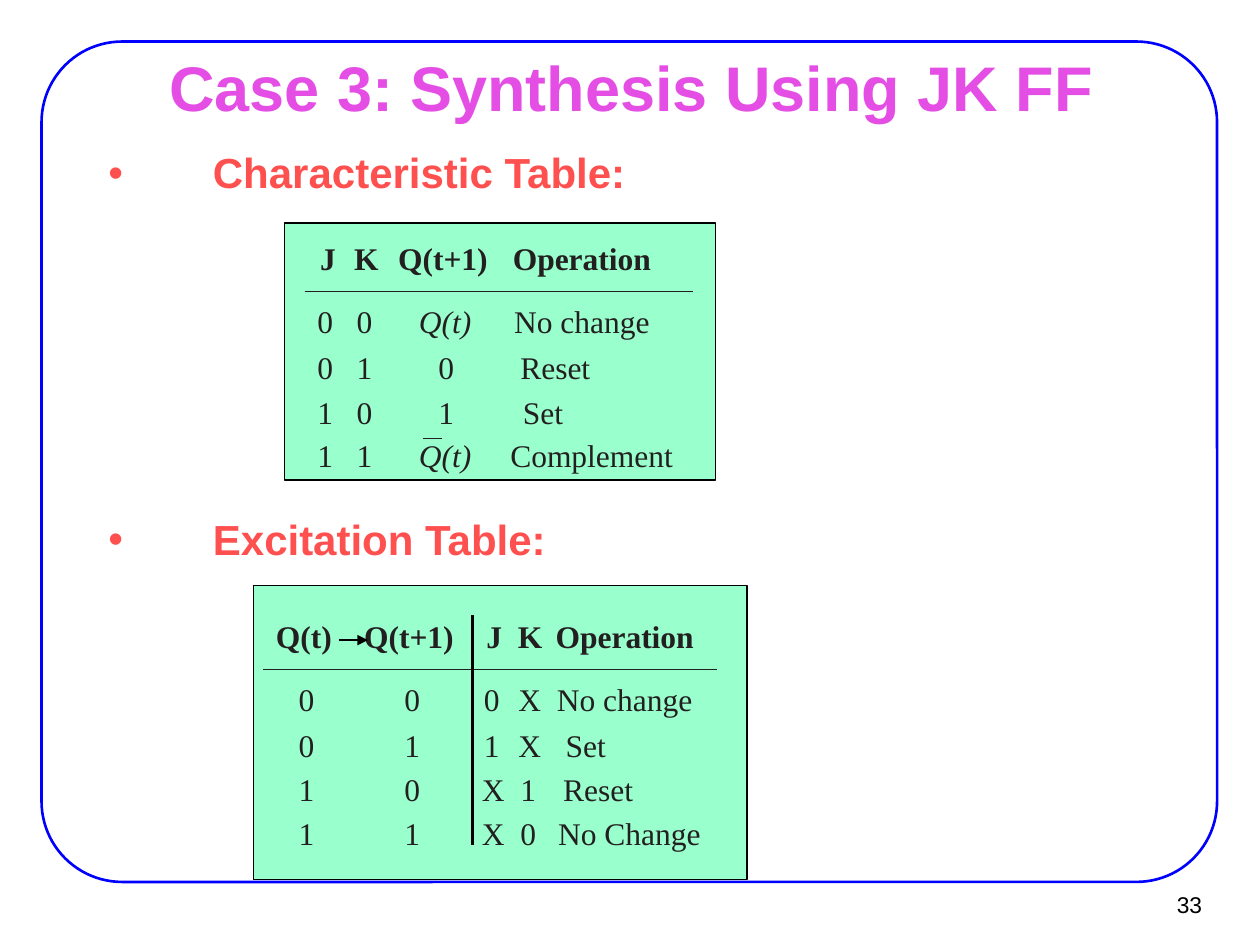
from dataclasses import dataclass

import pptx
import pptx.dml.color
import pptx.enum.shapes
import pptx.enum.text
import pptx.oxml.ns
import pptx.oxml.xmlchemy
import pptx.util
from lxml import etree
from pptx.util import Inches

COLORS = {
    "frame": "0000FF",
    "title": "E44EE4",
    "heading": "FF5050",
    "panel": "99FFCC",
    "ink": "231F20",
    "black": "000000",
}
SANS, SERIF = "Arial", "Times New Roman"
CELL_HEIGHT = 0.3
# Cell widths, and the indents of the operation names within their column
WIDTHS = {"0": 0.14, "1": 0.14, "X": 0.17, "Q(t)": 0.45, "No change": 1.25,
          "No Change": 1.28, "Set": 0.36, "Reset": 0.63, "Complement": 1.52}
INDENTS = {"Operation": 0, "No change": 0.01, "No Change": 0.02, "Set": 0.08,
           "Reset": 0.06, "Complement": -0.02}


@dataclass
class Column:
    header: str
    header_width: float
    position: float  # centre of the column, or left edge for operations
    values: list[str]


@dataclass
class TruthTable:
    panel: tuple[float, float, float, float]
    rule: tuple[float, float, float]  # left, right, height on the slide
    row_tops: list[float]
    columns: list[Column]


TABLES = [
    TruthTable((2.26, 1.77, 3.42, 2.04), (2.42, 5.5, 2.31),
               [1.9, 2.4, 2.76, 3.12, 3.46], [
        Column("J", 0.1, 2.59, ["0", "0", "1", "1"]),
        Column("K", 0.18, 2.9, ["0", "1", "0", "1"]),
        Column("Q(t+1)", 0.78, 3.55, ["Q(t)", "0", "1", "Q(t)"]),
        Column("Operation", 1.29, 4.07, ["No change", "Reset", "Set", "Complement"]),
    ]),
    TruthTable((2.01, 4.65, 3.92, 2.33), (2.09, 5.69, 5.31),
               [4.9, 5.4, 5.76, 6.11, 6.46], [
        Column("Q(t)", 0.5, 2.44, ["0", "0", "1", "1"]),
        Column("Q(t+1)", 0.78, 3.28, ["0", "1", "0", "1"]),
        Column("J", 0.1, 3.91, ["0", "1", "X", "X"]),
        Column("K", 0.18, 4.2, ["X", "X", "1", "0"]),
        Column("Operation", 1.29, 4.41, ["No change", "Set", "Reset", "No Change"]),
    ]),
]


def color(name: str) -> pptx.dml.color.RGBColor:
    return pptx.dml.color.RGBColor.from_string(COLORS[name])


def add_run(paragraph, text: str, font: str, size: float, ink: str,
            bold: bool = False, italic: bool = False) -> None:
    run = paragraph.add_run()
    run.text = text
    run.font.name = font
    run.font.size = pptx.util.Pt(size)
    run.font.color.rgb = color(ink)
    run.font.bold = bold
    run.font.italic = italic


def add_box(slide, kind, bounds, fill: str | None = None,
            line: str | None = None, line_width: float = 0.75):
    shape = slide.shapes.add_shape(kind, *(Inches(value) for value in bounds))
    shape.shadow.inherit = False
    if fill:
        shape.fill.solid()
        shape.fill.fore_color.rgb = color(fill)
    else:
        shape.fill.background()
    if line:
        shape.line.color.rgb = color(line)
        shape.line.width = pptx.util.Pt(line_width)
    else:
        shape.line.fill.background()
    return shape


def set_margins(text_frame, horizontal: float, vertical: float) -> None:
    text_frame.margin_left = text_frame.margin_right = Inches(horizontal)
    text_frame.margin_top = text_frame.margin_bottom = Inches(vertical)


def add_text_box(slide, bounds, horizontal: float = 0.11, vertical: float = 0.06,
                 anchor=pptx.enum.text.MSO_ANCHOR.MIDDLE, wrap: bool = True):
    shape = slide.shapes.add_textbox(*(Inches(value) for value in bounds))
    shape.text_frame.word_wrap = wrap
    shape.text_frame.vertical_anchor = anchor
    set_margins(shape.text_frame, horizontal, vertical)
    return shape.text_frame.paragraphs[0]


def add_line(slide, start, end, ink: str, width: float, arrow: bool = False) -> None:
    connector = slide.shapes.add_connector(
        pptx.enum.shapes.MSO_CONNECTOR.STRAIGHT,
        *(Inches(value) for value in (*start, *end)))
    connector.line.color.rgb = color(ink)
    connector.line.width = pptx.util.Pt(width)
    if arrow:
        etree.SubElement(connector.line._get_or_add_ln(),
                         pptx.oxml.ns.qn("a:tailEnd"), type="triangle")
    etree.SubElement(connector._element.spPr, pptx.oxml.ns.qn("a:effectLst"))


def add_cell(slide, text: str, left: float, top: float, width: float,
             bold: bool) -> None:
    shape = add_box(slide, pptx.enum.shapes.MSO_SHAPE.RECTANGLE,
                    (left, top, width, CELL_HEIGHT), "panel")
    text_frame = shape.text_frame
    set_margins(text_frame, 0, 0)
    text_frame.word_wrap = False
    text_frame.auto_size = pptx.enum.text.MSO_AUTO_SIZE.SHAPE_TO_FIT_TEXT
    text_frame.vertical_anchor = pptx.enum.text.MSO_ANCHOR.TOP
    paragraph = text_frame.paragraphs[0]
    paragraph.alignment = pptx.enum.text.PP_ALIGN.LEFT
    add_run(paragraph, text, SERIF, 18, "ink", bold,
            italic=text == "Q(t)" and not bold)


def add_truth_table(slide, table: TruthTable) -> None:
    add_box(slide, pptx.enum.shapes.MSO_SHAPE.RECTANGLE, table.panel, "panel", "black")
    left, right, height = table.rule
    add_line(slide, (left, height), (right, height), "ink", 0.5)
    for column in table.columns:
        for row, text in enumerate([column.header, *column.values]):
            is_header = row == 0
            width = column.header_width if is_header else WIDTHS[text]
            offset = INDENTS.get(text, -width / 2)
            add_cell(slide, text, column.position + offset, table.row_tops[row],
                     width, is_header)


def add_heading(slide, text: str, top: float) -> None:
    paragraph = add_text_box(slide, (0.75, top, 7.32, 0.76),
                             anchor=pptx.enum.text.MSO_ANCHOR.TOP)
    paragraph.line_spacing = 0.9
    properties = paragraph._p.get_or_add_pPr()
    properties.set("marL", str(Inches(0.83)))
    properties.set("indent", str(Inches(-0.83)))
    bullet_color = etree.SubElement(properties, pptx.oxml.ns.qn("a:buClr"))
    etree.SubElement(bullet_color, pptx.oxml.ns.qn("a:srgbClr"), val=COLORS["heading"])
    etree.SubElement(properties, pptx.oxml.ns.qn("a:buFont"), typeface=SANS)
    etree.SubElement(properties, pptx.oxml.ns.qn("a:buChar"), char="•")
    add_run(paragraph, text, SANS, 24, "heading", bold=True)


def main() -> None:
    presentation = pptx.Presentation()
    presentation.slide_width = Inches(10)
    presentation.slide_height = Inches(7.5)
    slide = presentation.slides.add_slide(presentation.slide_layouts[6])

    # Frame, slide number and title
    frame = add_box(slide, pptx.enum.shapes.MSO_SHAPE.ROUNDED_RECTANGLE,
                    (0.33, 0.33, 9.33, 6.67), line="frame", line_width=1.5)
    frame.adjustments[0] = 0.096
    number = add_text_box(slide, (9.02, 6.99, 0.61, 0.37), 0.09, 0.04, wrap=False)
    number.alignment = pptx.enum.text.PP_ALIGN.RIGHT
    add_run(number, "33", SANS, 13, "black")
    title = add_text_box(slide, (0.76, 0.44, 8.5, 0.49))
    title.alignment = pptx.enum.text.PP_ALIGN.CENTER
    add_run(title, "Case 3: Synthesis Using JK FF", SANS, 36, "title", bold=True)

    # Characteristic and excitation tables
    for table in TABLES:
        add_truth_table(slide, table)

    # Complement bar, state divider and transition arrow
    add_line(slide, (3.36, 3.48), (3.51, 3.48), "ink", 0.5)
    add_line(slide, (3.75, 4.88), (3.75, 6.71), "black", 1.5)
    add_line(slide, (2.69, 5.08), (2.92, 5.08), "black", 0.75, arrow=True)

    # Headings
    add_heading(slide, "Characteristic Table:", 1.15)
    add_heading(slide, "Excitation Table:", 4.06)

    presentation.save("out.pptx")


if __name__ == "__main__":
    main()
